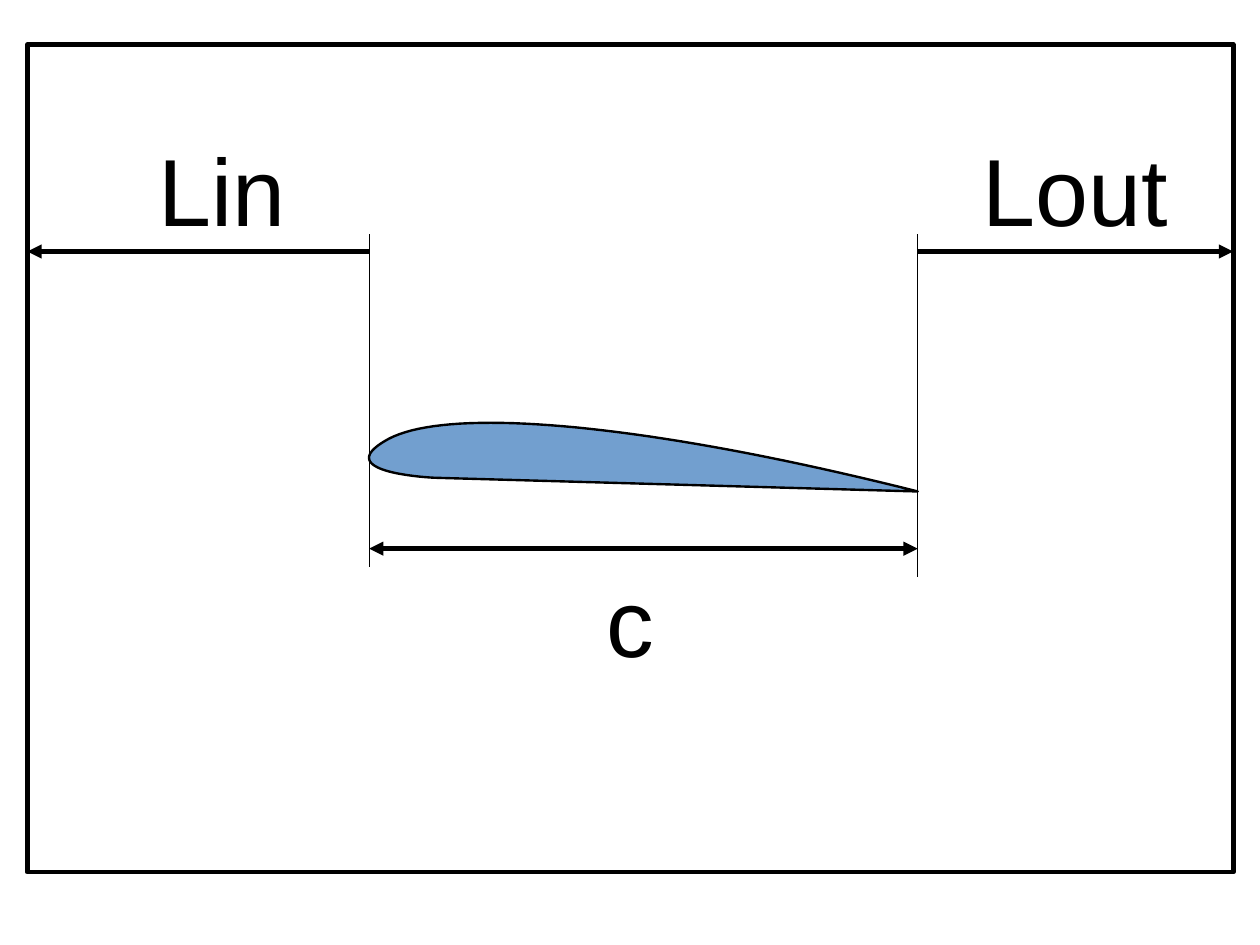
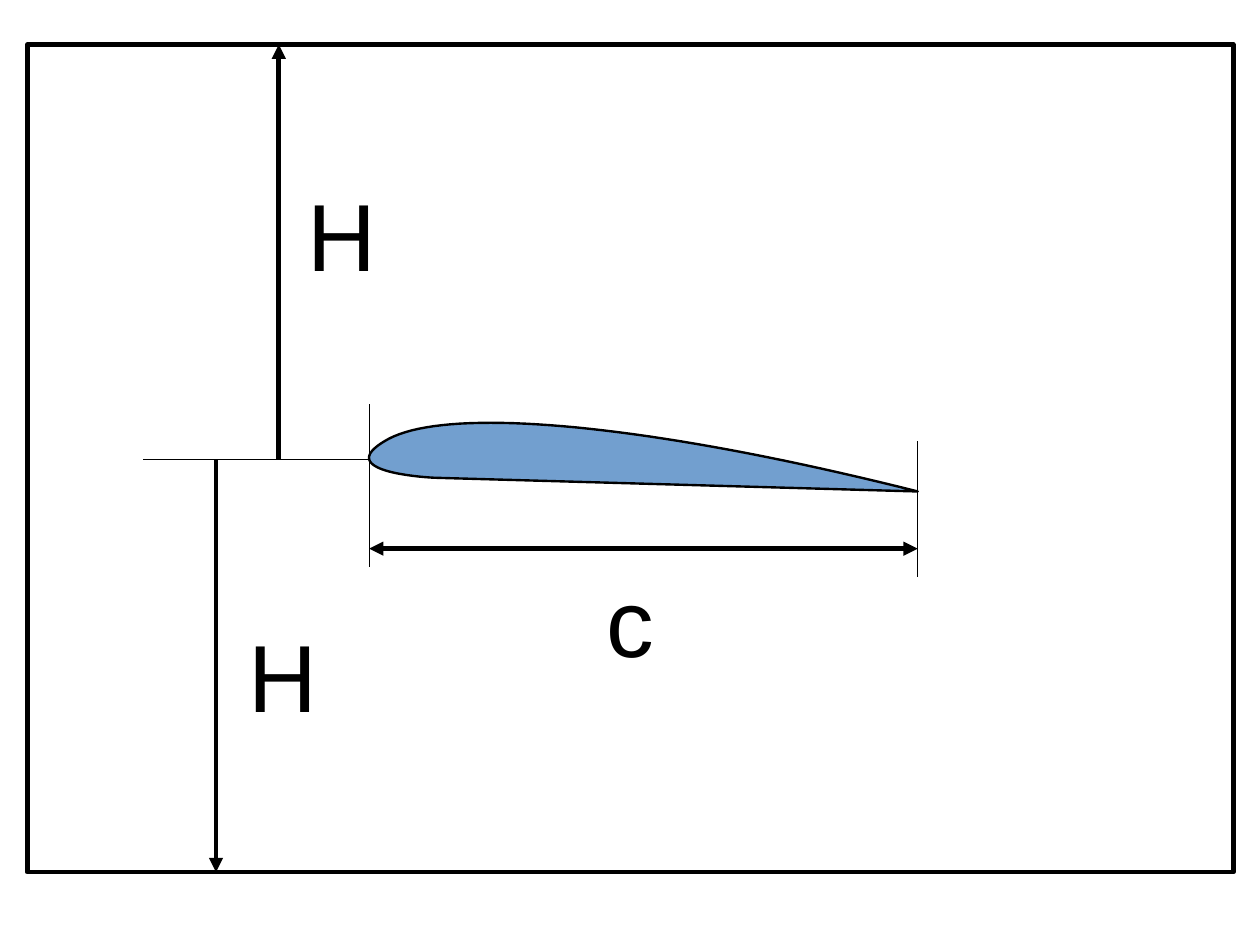
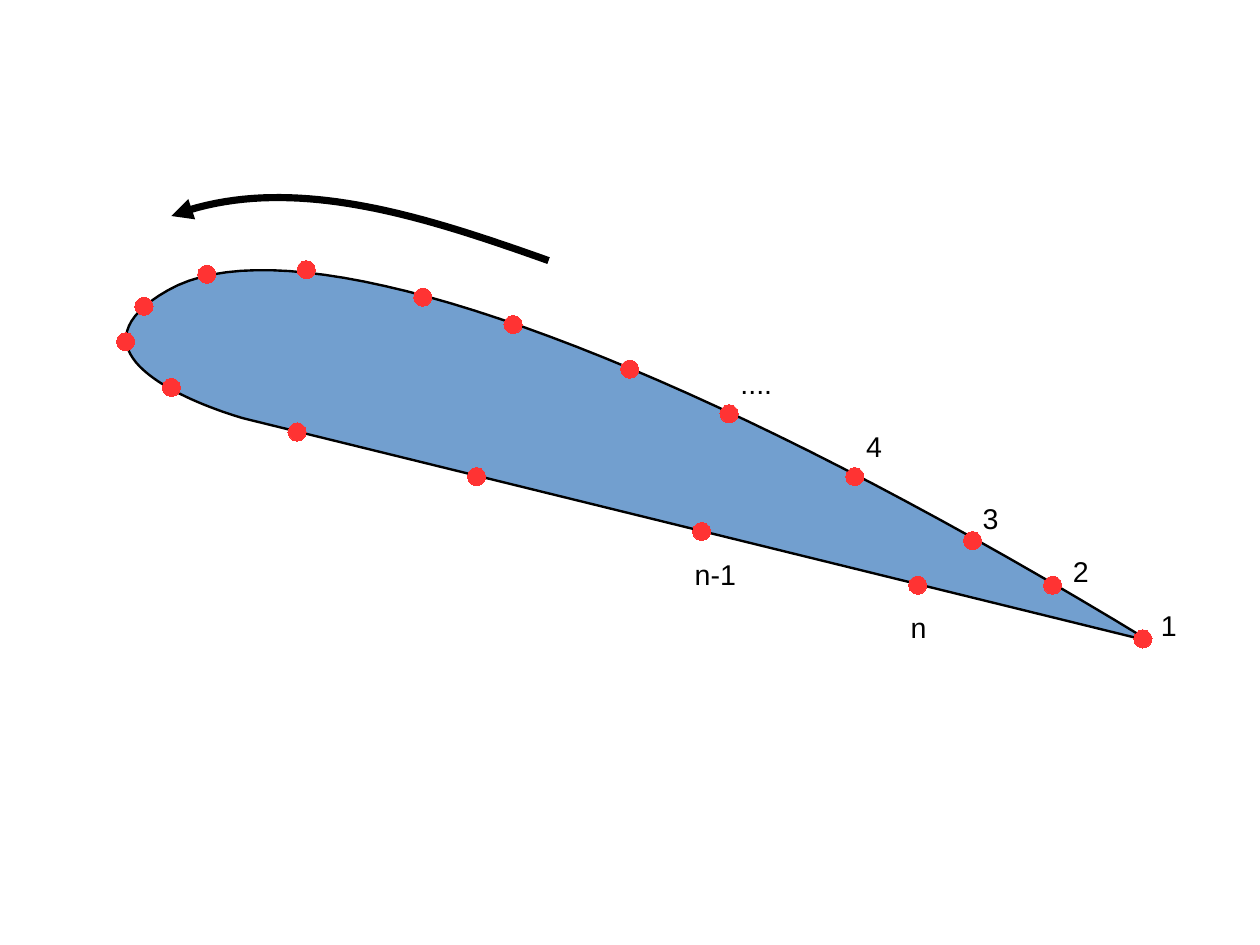
from lxml.etree import SubElement
from pptx import Presentation
from pptx.dml.color import RGBColor
from pptx.enum.shapes import MSO_CONNECTOR as Link, MSO_SHAPE as Kind
from pptx.enum.text import MSO_AUTO_SIZE as Fit
from pptx.oxml.ns import qn
from pptx.util import Emu, Inches, Pt

# 28 by 21 cm page, in the whole units that office programs store
WIDE, HIGH = Emu(10080625), Emu(7559675)
INK, BLUE, RED = "000000", "729FCF", "FF3333"
FONT = "Arial"
STEPS = 40

# Domain edges, wing edges and wing nose height
LEFT, TOP, RIGHT, BASE = 0.24, 0.39, 10.79, 7.63
NOSE, TAIL, MID = 3.23, 8.03, 4.02

WING = [(8.03, 4.3), (5.69, 3.71), (3.95, 3.55), (3.4, 3.84),
        (2.85, 4.14), (3.8, 4.18), (3.8, 4.18)]
TILTED = [(10.06, 5.61), (5.81, 3.02), (2.58, 1.9), (1.47, 2.54),
          (0.36, 3.17), (2.13, 3.66), (2.13, 3.66)]
ARC = [(4.8, 2.28), (3.7, 1.89), (2.52, 1.5), (1.5, 1.89)]
DOTS = [(10, 5.59), (9.21, 5.12), (8.51, 4.73), (7.48, 4.17), (6.38, 3.62),
        (5.51, 3.23), (4.49, 2.84), (3.7, 2.6), (2.68, 2.36), (1.81, 2.4),
        (1.26, 2.68), (1.1, 2.99), (1.5, 3.39), (2.6, 3.78), (4.17, 4.17),
        (6.14, 4.65), (8.03, 5.12)]
MARKS = [("1", 10.06, 5.27, 0.34), ("2", 9.29, 4.8, 0.34),
         ("3", 8.5, 4.33, 0.34), ("4", 7.48, 3.7, 0.34),
         ("....", 6.38, 3.15, 0.48), ("n", 7.87, 5.29, 0.34),
         ("n-1", 5.98, 4.82, 0.56)]


def color(code):
    return RGBColor.from_string(code)


def trace(ctrl):
    """Points along a chain of cubic curves that share their end points."""
    points = [ctrl[0]]
    for i in range(0, len(ctrl) - 1, 3):
        a, b, c, d = ctrl[i:i + 4]
        for step in range(1, STEPS + 1):
            t = step / STEPS
            u = 1 - t
            points.append(tuple(
                u**3 * p + 3 * u * u * t * q + 3 * u * t * t * r + t**3 * s
                for p, q, r, s in zip(a, b, c, d)))
    return points


class Deck:
    def __init__(self):
        self.prs = Presentation()
        self.prs.slide_width = WIDE
        self.prs.slide_height = HIGH

    def start(self):
        """Add a blank slide and draw on it from now on."""
        slide = self.prs.slides.add_slide(self.prs.slide_layouts[6])
        self.shapes = slide.shapes

    def stroke(self, shape, width, ends=(), ink=INK):
        """Set the line; without the theme style, width 0 is a hairline."""
        node = shape._element
        node.remove(node.find(qn("p:style")))
        shape.line.color.rgb = color(ink)
        shape.line.width = Pt(width)
        for end in ends:
            SubElement(shape.get_or_add_ln(), qn(f"a:{end}"), type="triangle")

    def style(self, shape, fill, width, ends=(), ink=INK):
        shape.shadow.inherit = False
        if fill:
            shape.fill.solid()
            shape.fill.fore_color.rgb = color(fill)
        else:
            shape.fill.background()
        self.stroke(shape, width, ends, ink)

    def box(self, kind, x, y, w, h, fill=None, width=3, ink=INK):
        shape = self.shapes.add_shape(
            kind, Inches(x), Inches(y), Inches(w), Inches(h))
        self.style(shape, fill, width, ink=ink)

    def dot(self, x, y, size=0.16):
        """Red dot centred on a point."""
        self.box(Kind.OVAL, x - size / 2, y - size / 2, size, size,
                 RED, 0, RED)

    def curve(self, ctrl, fill=None, width=1.5, ends=()):
        first, *rest = [(Inches(x), Inches(y)) for x, y in trace(ctrl)]
        pen = self.shapes.build_freeform(*first)
        pen.add_line_segments(rest, close=bool(fill))
        self.style(pen.convert_to_shape(), fill, width, ends)

    def line(self, x1, y1, x2, y2, width=0, ends=()):
        link = self.shapes.add_connector(
            Link.STRAIGHT, Inches(x1), Inches(y1), Inches(x2), Inches(y2))
        self.stroke(link, width, ends)
        SubElement(link._element.spPr, qn("a:effectLst"))

    def arrow(self, x1, y1, x2, y2, both=False):
        ends = ("headEnd", "tailEnd") if both else ("tailEnd",)
        self.line(x1, y1, x2, y2, 3, ends)

    def text(self, words, x, y, w, h=1.03, size=60):
        frame = self.shapes.add_textbox(
            Inches(x), Inches(y), Inches(w), Inches(h)).text_frame
        frame.word_wrap = False
        frame.auto_size = Fit.SHAPE_TO_FIT_TEXT
        para = frame.paragraphs[0]
        para.text = words
        para.font.name = FONT
        para.font.size = Pt(size)
        para.font.color.rgb = color(INK)

    def domain(self, nose_top, tail_top):
        """Wing in its frame, with guides from the given heights and chord c."""
        self.start()
        self.curve(WING, BLUE)
        self.box(Kind.RECTANGLE, LEFT, TOP, RIGHT - LEFT, BASE - TOP)
        self.line(NOSE, nose_top, NOSE, 4.96)
        self.line(TAIL, tail_top, TAIL, 5.04)
        self.arrow(NOSE, 4.8, TAIL, 4.8, both=True)
        self.text("c", 5.21, 4.87, 0.61)


def lengths(deck):
    deck.domain(2.05, 2.05)
    deck.arrow(NOSE, 2.2, LEFT, 2.2)
    deck.arrow(TAIL, 2.2, RIGHT, 2.2)
    deck.text("Lin", 1.29, 1.1, 1.31)
    deck.text("Lout", 8.5, 1.1, 1.82)


def heights(deck):
    deck.domain(3.54, 3.86)
    deck.line(NOSE, MID, 1.26, MID)
    for x, edge, left, top in ((1.89, BASE, 2.08, 5.35),
                               (2.44, TOP, 2.59, 1.49)):
        deck.arrow(x, MID, x, edge)
        deck.text("H", left, top, 0.8)


def order(deck):
    deck.start()
    deck.curve(TILTED, BLUE)
    for spot in DOTS:
        deck.dot(*spot)
    for mark in MARKS:
        deck.text(*mark, h=0.38, size=18)
    deck.curve(ARC, width=4.5, ends=("tailEnd",))


def main():
    deck = Deck()
    for draw in (lengths, heights, order):
        draw(deck)
    deck.prs.save("out.pptx")


if __name__ == "__main__":
    main()
